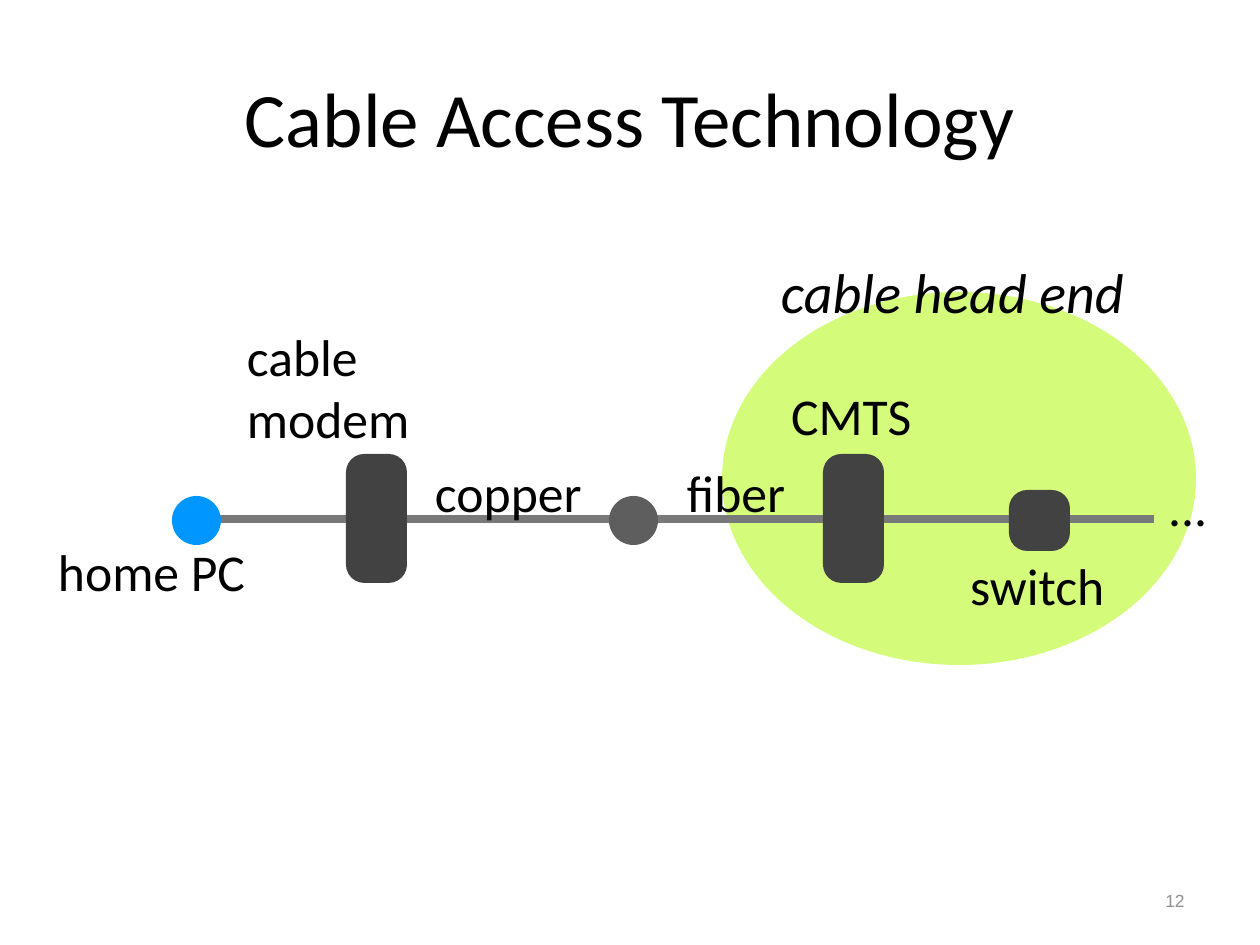
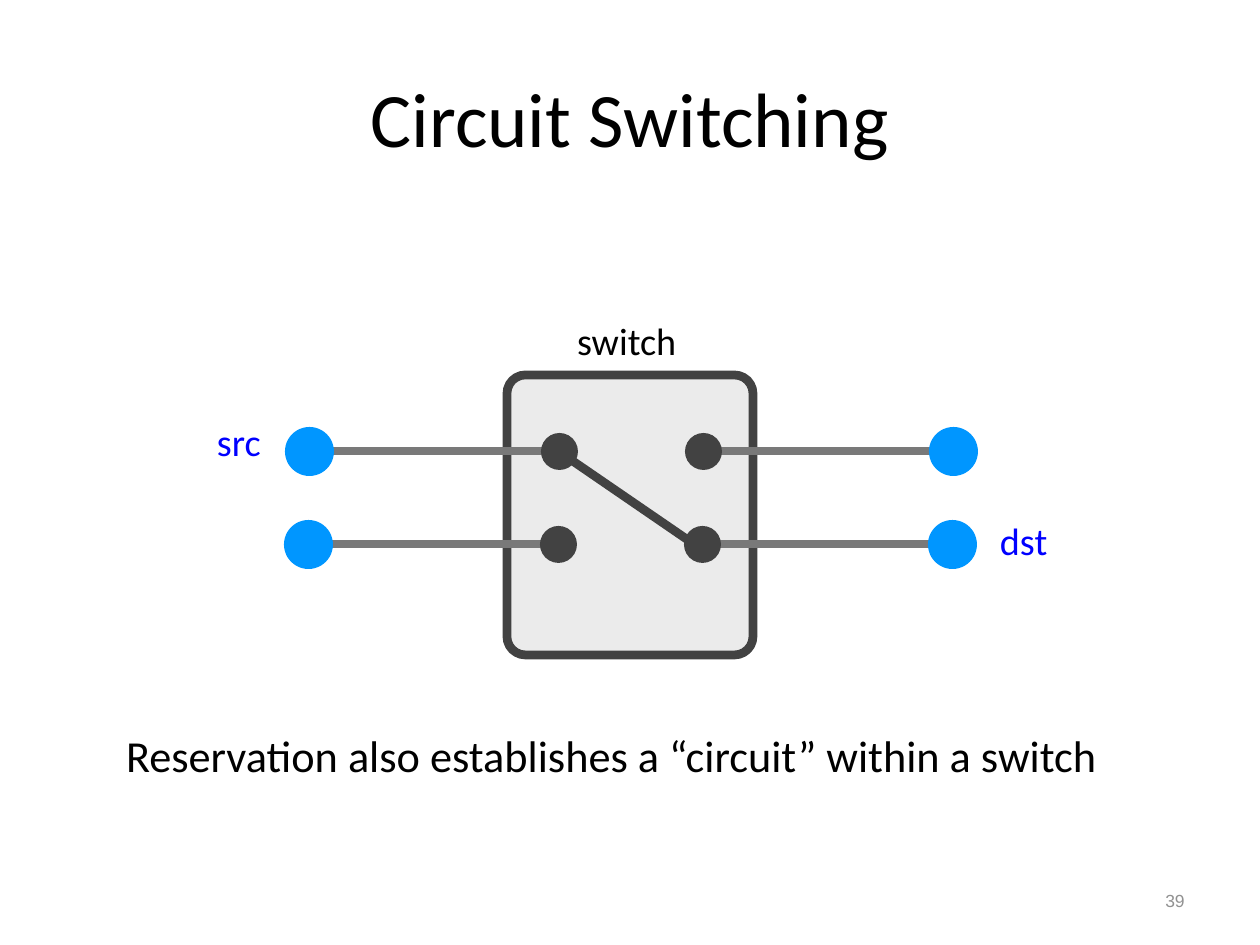
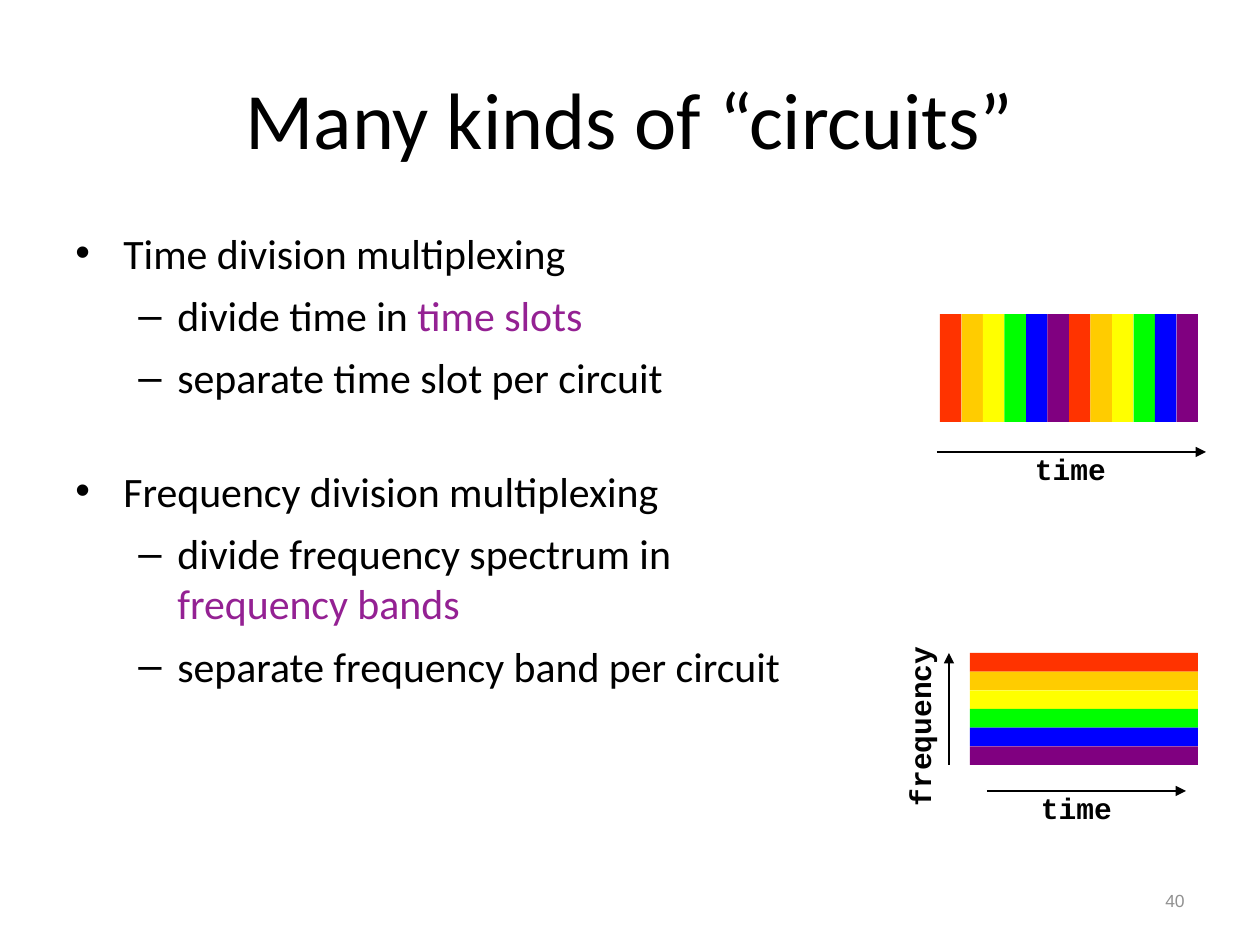
from dataclasses import dataclass
from typing import Any

from lxml.etree import SubElement
from pptx import Presentation
from pptx.dml.color import RGBColor
from pptx.enum.shapes import MSO_CONNECTOR, MSO_SHAPE
from pptx.enum.text import MSO_ANCHOR, PP_ALIGN
from pptx.oxml.ns import qn
from pptx.util import Emu, Pt

BLACK = RGBColor(0x00, 0x00, 0x00)
PAGE_GREY = RGBColor(0x91, 0x91, 0x91)
WIRE = RGBColor(0x79, 0x79, 0x79)
DEVICE = RGBColor(0x42, 0x42, 0x42)
SPLITTER = RGBColor(0x5E, 0x5E, 0x5E)
HOST = RGBColor(0x00, 0x96, 0xFF)
HEAD_END = RGBColor(0xD4, 0xFB, 0x79)
SWITCH_FILL = RGBColor(0xEB, 0xEB, 0xEB)
LABEL_BLUE = RGBColor(0x00, 0x00, 0xFF)
TERM = RGBColor(0x94, 0x21, 0x93)
CHANNELS = [
    RGBColor(0xFF, 0x33, 0x00), RGBColor(0xFF, 0xCC, 0x00),
    RGBColor(0xFF, 0xFF, 0x00), RGBColor(0x00, 0xFF, 0x00),
    RGBColor(0x00, 0x00, 0xFF), RGBColor(0x80, 0x00, 0x80),
]

LABEL = {"name": "Calibri", "size": Pt(29.5)}
SMALL_LABEL = {"name": "Calibri", "size": Pt(21.8)}
CAPTION = {"name": "Calibri", "size": Pt(25.3)}
BODY = {"name": "Calibri", "size": Pt(23.9)}
AXIS = {"name": "Courier New", "size": Pt(16.9), "bold": True}
PAGE = {"name": "Arial", "size": Pt(10)}

BULLETS = [("•", 48, 48), ("–", 102, 39)]
HOST_SIZE = 49
PORT_SIZE = 37


def px(n):
    return Emu(round(n * 914400 / 126))


def add_run(p, text, fmt, color=BLACK):
    r = p.add_run()
    r.text = text
    for key, value in fmt.items():
        setattr(r.font, key, value)
    r.font.color.rgb = color


@dataclass
class Region:
    s: Any
    x: int = 0
    y: int = 0

    def place(self, x, y, w, h):
        return px(self.x + x), px(self.y + y), px(w), px(h)

    def shape(self, kind, box, fill, line=None, adj=None):
        sp = self.s.shapes.add_shape(kind, *self.place(*box))
        sp.shadow.inherit = False
        sp.fill.solid()
        sp.fill.fore_color.rgb = fill
        if line is None:
            sp.line.fill.background()
        else:
            sp.line.color.rgb = line
            sp.line.width = Pt(5)
        if adj is not None:
            sp.adjustments[0] = adj

    def circle(self, x, y, size, fill):
        self.shape(MSO_SHAPE.OVAL, (x, y, size, size), fill)

    def line(self, x1, y1, x2, y2, color=WIRE, width=5, arrow=False):
        ends = [px(self.x + x1), px(self.y + y1), px(self.x + x2), px(self.y + y2)]
        c = self.s.shapes.add_connector(MSO_CONNECTOR.STRAIGHT, *ends)
        c.line.color.rgb = color
        c.line.width = Pt(width)
        if arrow:
            SubElement(c.line._get_or_add_ln(), qn("a:tailEnd"), type="triangle")
        SubElement(c._element.spPr, qn("a:effectLst"))

    def arrow(self, x1, y1, x2, y2):
        self.line(x1, y1, x2, y2, BLACK, 0.75, True)

    def frame(self, box, inset=None, anchor=MSO_ANCHOR.MIDDLE, wrap=True, rotation=0):
        tb = self.s.shapes.add_textbox(*self.place(*box))
        tb.rotation = rotation
        tf = tb.text_frame
        tf.word_wrap = wrap
        tf.vertical_anchor = anchor
        if inset is not None:
            for side in ("left", "right", "top", "bottom"):
                setattr(tf, f"margin_{side}", px(inset))
        return tf

    def text(self, text, box, fmt, color=BLACK, align=PP_ALIGN.LEFT, **frame):
        p = self.frame(box, **frame).paragraphs[0]
        p.alignment = align
        add_run(p, text, fmt, color)

    def label(self, text, box, fmt=LABEL, color=BLACK):
        self.text(text, box, fmt, color, inset=5)

    def axis(self, text, box, rotation=0):
        self.text(text, box, AXIS, align=PP_ALIGN.CENTER,
                  anchor=MSO_ANCHOR.TOP, wrap=False, rotation=rotation)


def add_slide(prs, title, page, size=44):
    s = prs.slides.add_slide(prs.slide_layouts[6])
    region = Region(s)
    region.text(title, (63, 38, 1134, 158), {"name": "Calibri", "size": Pt(size)},
                align=PP_ALIGN.CENTER)
    region.text(str(page), (903, 876, 294, 50), PAGE, PAGE_GREY, PP_ALIGN.RIGHT)
    return s


def cable_network(s, x, y):
    g = Region(s, x, y)
    g.shape(MSO_SHAPE.OVAL, (669, 40, 474, 373), HEAD_END)
    for start, end in [(146, 321), (344, 577), (579, 811), (821, 997), (1007, 1101)]:
        g.line(start, 267, end, 267)
    g.circle(119, 244, HOST_SIZE, HOST)
    g.circle(556, 244, HOST_SIZE, SPLITTER)
    for box in [(293, 202, 61, 129), (770, 202, 61, 129), (956, 238, 61, 61)]:
        g.shape(MSO_SHAPE.ROUNDED_RECTANGLE, box, DEVICE, adj=0.3)
    for text, box in [
        ("home PC", (0, 282, 287, 73)),
        ("switch", (912, 296, 155, 73)),
        ("cable modem", (189, 67, 278, 135)),
        ("CMTS", (733, 127, 158, 72)),
        ("copper", (377, 203, 169, 73)),
        ("fiber", (629, 203, 111, 73)),
        ("...", (1110, 217, 54, 73)),
    ]:
        g.label(text, box)
    g.label("cable head end", (723, 0, 403, 78),
            {"name": "Calibri", "size": Pt(32), "italic": True})


def switch_circuit(s, x, y):
    g = Region(s, x, y)
    g.shape(MSO_SHAPE.ROUNDED_RECTANGLE, (295, 63, 246, 280), SWITCH_FILL, DEVICE, 0.075)
    g.line(352, 143, 492, 239, DEVICE)
    for shift, row in [(0, 139), (-1, 232)]:
        for start, end in [(103, 334), (506, 736)]:
            g.line(start + shift, row, end + shift, row)
        for left, size, fill in [(73, HOST_SIZE, HOST), (717, HOST_SIZE, HOST),
                                 (329, PORT_SIZE, DEVICE), (473, PORT_SIZE, DEVICE)]:
            g.circle(left + shift, row - size // 2, size, fill)
    g.label("switch", (360, 0, 117, 57), SMALL_LABEL)
    g.label("src", (0, 101, 62, 57), SMALL_LABEL, LABEL_BLUE)
    g.label("dst", (783, 200, 62, 57), SMALL_LABEL, LABEL_BLUE)


def bullet_list(s, x, y, w, h, items):
    tf = Region(s, x, y).frame((0, 0, w, h), anchor=MSO_ANCHOR.TOP)
    for i, (level, before, runs) in enumerate(items):
        p = tf.add_paragraph() if i else tf.paragraphs[0]
        char, left, hang = BULLETS[level]
        pPr = p._p.get_or_add_pPr()
        pPr.set("marL", str(px(left)))
        pPr.set("indent", str(px(-hang)))
        SubElement(pPr, qn("a:buFont"), typeface="Arial")
        SubElement(pPr, qn("a:buChar"), char=char)
        p.level = level
        p.space_before = Pt(before)
        for text, color in runs:
            if text == "\n":
                p.add_line_break()
            else:
                add_run(p, text, BODY, color)


def time_division(s, x, y):
    g = Region(s, x, y)
    slots = CHANNELS * 2
    w = 258 / len(slots)
    for i, color in enumerate(slots):
        g.shape(MSO_SHAPE.RECTANGLE, (3 + i * w, 0, w, 108), color)
    g.arrow(0, 138, 269, 138)
    g.axis("time", (85, 131, 97, 49))


def frequency_division(s, x, y):
    g = Region(s, x, y)
    h = 112 / len(CHANNELS)
    for i, color in enumerate(CHANNELS):
        g.shape(MSO_SHAPE.RECTANGLE, (143, i * h, 228, h), color)
    g.arrow(122, 112, 122, 0)
    g.arrow(160, 138, 359, 138)
    g.axis("time", (201, 131, 97, 49))
    g.axis("frequency", (0, 49, 186, 49), 270)


def main():
    prs = Presentation()
    prs.slide_width, prs.slide_height = px(1260), px(945)

    s = add_slide(prs, "Cable Access Technology", 12)
    cable_network(s, 53, 252)

    s = add_slide(prs, "Circuit Switching", 39)
    switch_circuit(s, 212, 312)
    Region(s).label("Reservation also establishes a “circuit” within a switch",
                    (121, 723, 1076, 63), CAPTION)

    s = add_slide(prs, "Many kinds of “circuits”", 40, 45.7)
    bullet_list(s, 63, 221, 1134, 624, [
        (0, 0, [("Time division multiplexing", BLACK)]),
        (1, 7, [("divide time in ", BLACK), ("time slots", TERM)]),
        (1, 7, [("separate time slot per circuit", BLACK)]),
        (0, 36, [("Frequency division multiplexing", BLACK)]),
        (1, 7, [("divide frequency spectrum in", BLACK), ("\n", BLACK),
                ("frequency bands", TERM)]),
        (1, 7, [("separate frequency band per circuit", BLACK)]),
    ])
    time_division(s, 937, 314)
    frequency_division(s, 827, 653)

    prs.save("out.pptx")


if __name__ == "__main__":
    main()
